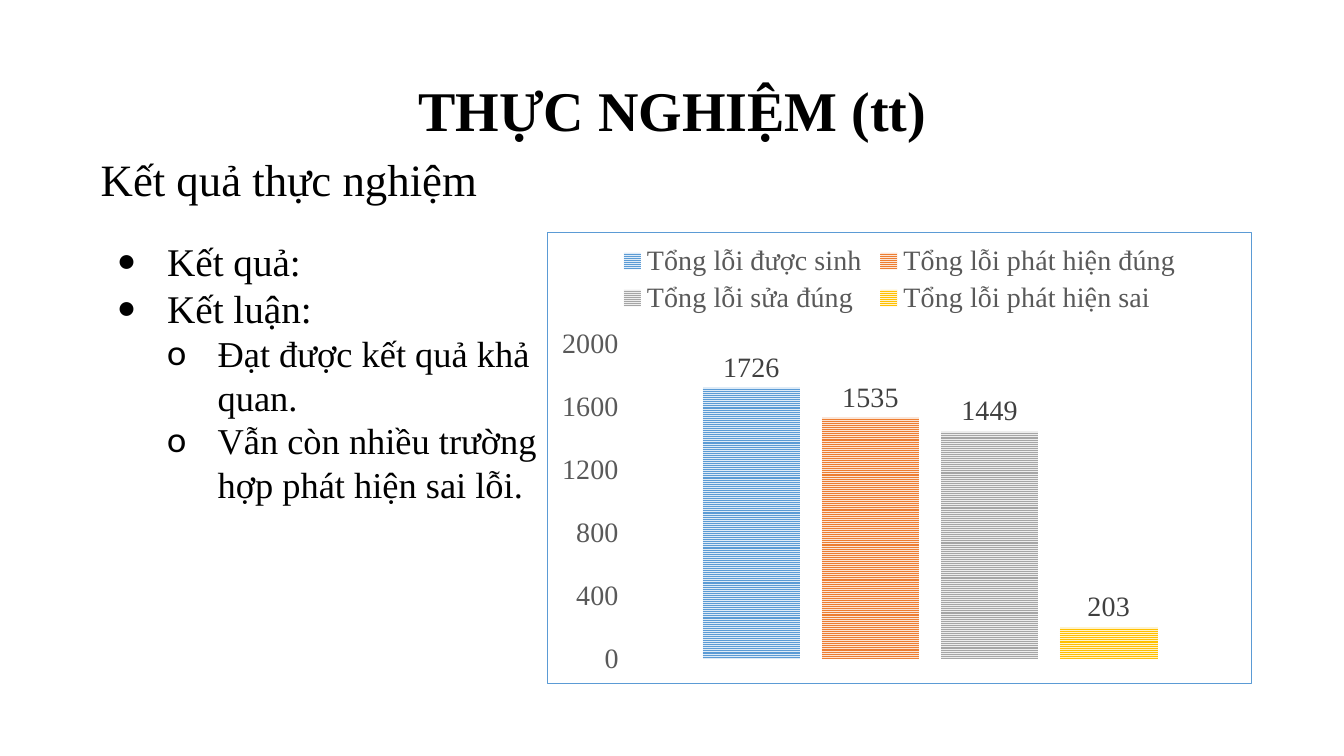
"""Build the slide on the results of the experiment."""
import dataclasses

import lxml.etree
import pptx
import pptx.chart.data
import pptx.dml.color
import pptx.enum.chart
import pptx.enum.dml
import pptx.enum.text
import pptx.oxml.ns
import pptx.util


@dataclasses.dataclass(frozen=True)
class Theme:
    """Colours, fonts and type sizes of the slide."""
    font: str = "Times New Roman"
    marker_font: str = "Calibri"
    ink: str = "000000"
    axis_ink: str = "595959"
    label_ink: str = "404040"
    frame: str = "5B9BD5"
    title: int = 40
    subtitle: int = 32
    points: tuple = (28, 26)
    chart: int = 20
    markers: tuple = ("•", "o")
    bars: tuple = (("5B9BD5", "DEEBF7"), ("ED7D31", "FBE5D6"),
                   ("A5A5A5", "EDEDED"), ("FFC000", "FFF2CC"))


def rgb(code):
    """Return the colour for a hex code."""
    return pptx.dml.color.RGBColor.from_string(code)


def add_xml(parent, tag, **attributes):
    """Append a namespaced element to its parent."""
    return lxml.etree.SubElement(parent, pptx.oxml.ns.qn(tag), attributes)


class SlideBuilder:
    """Places styled elements by percentages of the slide's size."""

    def __init__(self, deck, theme):
        """Start a title-only slide."""
        self.deck, self.theme = deck, theme
        self.slide = deck.slides.add_slide(deck.slide_layouts[5])

    def box(self, left, top, width, height):
        """Turn percentages into lengths."""
        across, down = self.deck.slide_width, self.deck.slide_height
        return [int(share * side / 100) for share, side in
                zip((left, top, width, height), (across, down, across, down))]

    def style(self, font, size, colour, bold=False):
        """Apply the slide's typeface to a font."""
        font.name, font.size, font.bold = self.theme.font, pptx.util.Pt(size), bold
        font.color.rgb = rgb(colour)

    def add_words(self, paragraph, words, size, bold=False):
        """Add one run to a paragraph."""
        run = paragraph.add_run()
        run.text = words
        self.style(run.font, size, self.theme.ink, bold)

    def title(self, words, *place):
        """Fill and move the title placeholder."""
        heading = self.slide.shapes.title
        heading.left, heading.top, heading.width, heading.height = self.box(*place)
        heading.text_frame.vertical_anchor = pptx.enum.text.MSO_ANCHOR.MIDDLE
        paragraph = heading.text_frame.paragraphs[0]
        paragraph.alignment = pptx.enum.text.PP_ALIGN.CENTER
        paragraph.line_spacing = 0.9
        self.add_words(paragraph, words, self.theme.title, bold=True)

    def text_frame(self, *place):
        """Add a wrapping text box and return its frame."""
        frame = self.slide.shapes.add_textbox(*self.box(*place)).text_frame
        frame.word_wrap = True
        return frame

    def subtitle(self, words, *place):
        """Add the indented line under the title."""
        paragraph = self.text_frame(*place).paragraphs[0]
        paragraph.line_spacing = 0.9
        paragraph.space_before = pptx.util.Pt(5)
        paragraph._p.get_or_add_pPr().set("marL", str(pptx.util.Inches(0.5)))
        self.add_words(paragraph, words, self.theme.subtitle)

    def bullets(self, points, *place):
        """Add a bulleted list of (level, words) pairs."""
        frame = self.text_frame(*place)
        for index, (level, words) in enumerate(points):
            paragraph = frame.add_paragraph() if index else frame.paragraphs[0]
            paragraph.level = level
            properties = paragraph._p.get_or_add_pPr()
            properties.set("marL", str(pptx.util.Inches(0.5 * (level + 1))))
            properties.set("indent", str(pptx.util.Inches(-0.5)))
            add_xml(properties, "a:buFont", typeface=self.theme.marker_font)
            add_xml(properties, "a:buChar", char=self.theme.markers[level])
            self.add_words(paragraph, words, self.theme.points[level])

    def column_chart(self, totals, *place):
        """Add a clustered column chart with one series per total."""
        theme = self.theme
        data = pptx.chart.data.CategoryChartData()
        data.categories = ["1"]
        for name, total in totals.items():
            data.add_series(name, [total])
        chart = self.slide.shapes.add_chart(
            pptx.enum.chart.XL_CHART_TYPE.COLUMN_CLUSTERED, *self.box(*place), data).chart
        chart.has_title = False
        self.style(chart.font, theme.chart, theme.axis_ink)
        chart.has_legend = True
        chart.legend.position = pptx.enum.chart.XL_LEGEND_POSITION.TOP
        chart.legend.include_in_layout = False
        self.style(chart.legend.font, theme.chart, theme.axis_ink)
        chart.category_axis.visible = False
        self.value_axis(chart.value_axis)
        plot = chart.plots[0]
        plot.gap_width, plot.overlap, plot.vary_by_categories = 164, -22, False
        for series, colours in zip(plot.series, theme.bars):
            self.bar(series, *colours)
        self.frame_chart(chart)

    def value_axis(self, axis):
        """Leave only the numbers of the value axis."""
        axis.has_major_gridlines = False
        axis.major_tick_mark = pptx.enum.chart.XL_TICK_MARK.NONE
        axis.minimum_scale, axis.maximum_scale, axis.major_unit = 0, 2000, 200
        axis.format.line.fill.background()
        self.style(axis.tick_labels.font, self.theme.chart, self.theme.axis_ink)

    def bar(self, series, stripe, ground):
        """Stripe a series and label its value."""
        fill = series.format.fill
        fill.patterned()
        fill.pattern = pptx.enum.dml.MSO_PATTERN.NARROW_HORIZONTAL
        fill.fore_color.rgb, fill.back_color.rgb = rgb(stripe), rgb(ground)
        series.format.line.fill.background()
        labels = series.data_labels
        labels.show_value = True
        labels.position = pptx.enum.chart.XL_LABEL_POSITION.OUTSIDE_END
        self.style(labels.font, self.theme.chart, self.theme.label_ink)

    def frame_chart(self, chart):
        """Draw the thin border round a chart."""
        space = chart._chartSpace
        border = add_xml(space, "c:spPr")
        line = add_xml(border, "a:ln", w=str(pptx.util.Pt(0.75)))
        add_xml(add_xml(line, "a:solidFill"), "a:srgbClr", val=self.theme.frame)
        space.find(pptx.oxml.ns.qn("c:chart")).addnext(border)


def main():
    """Build and save the deck."""
    deck = pptx.Presentation()
    deck.slide_width, deck.slide_height = pptx.util.Inches(13.33), pptx.util.Inches(7.5)
    results = SlideBuilder(deck, Theme())
    results.title("THỰC NGHIỆM (tt)", 6.9, 5.33, 86.25, 19.33)
    results.subtitle("Kết quả thực nghiệm", 3, 20.27, 85, 8.8)
    results.bullets([
        (0, "Kết quả:"),
        (0, "Kết luận:"),
        (1, "Đạt được kết quả khả quan."),
        (1, "Vẫn còn nhiều trường hợp phát hiện sai lỗi."),
    ], 7.95, 30.67, 32.78, 37.2)
    results.column_chart({
        "Tổng lỗi được sinh": 1726,
        "Tổng lỗi phát hiện đúng": 1535,
        "Tổng lỗi sửa đúng": 1449,
        "Tổng lỗi phát hiện sai": 203,
    }, 40.73, 30.67, 52.44, 59.87)
    deck.save("out.pptx")


if __name__ == "__main__":
    main()
